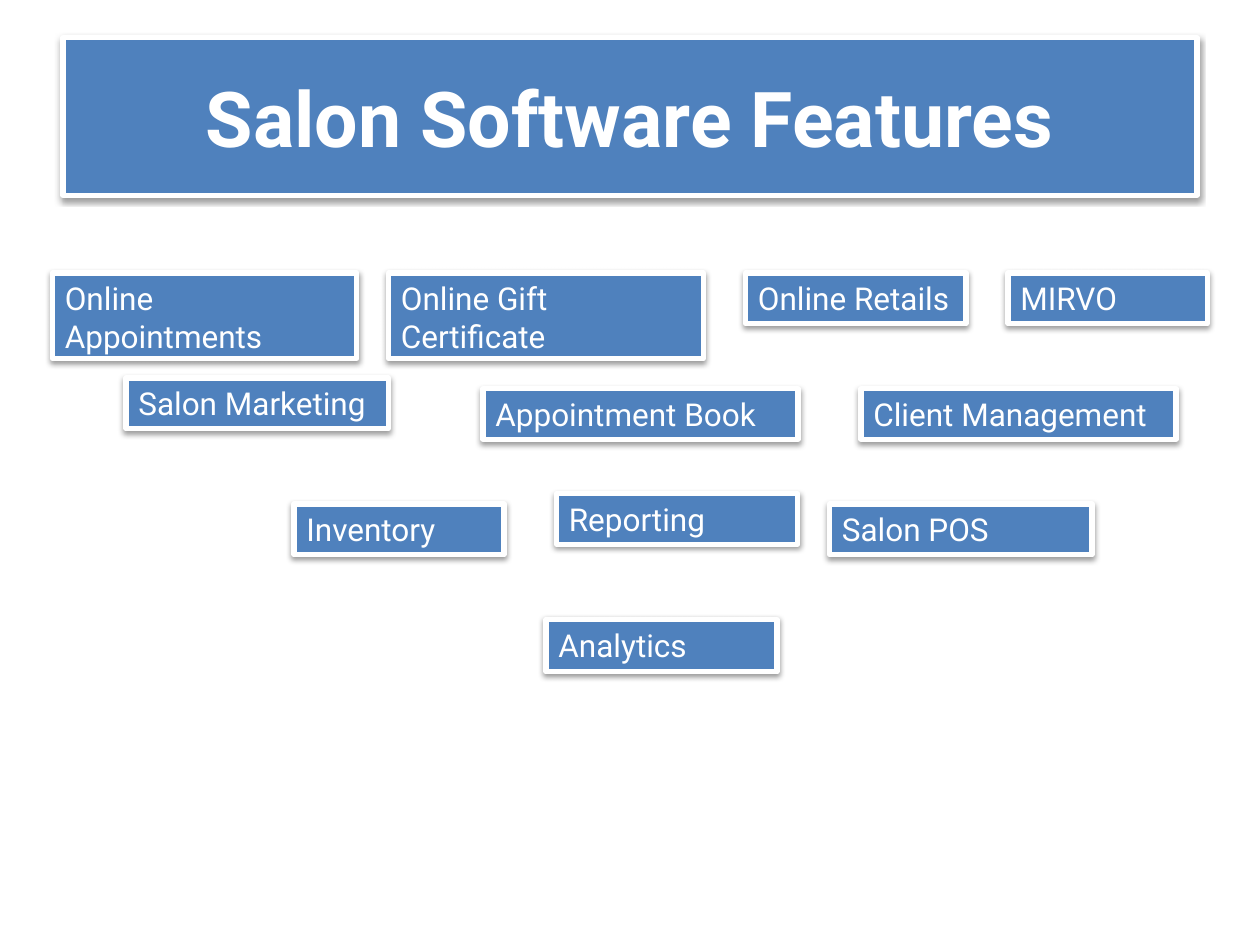
from lxml.etree import SubElement
from pptx import Presentation
from pptx.dml.color import RGBColor
from pptx.enum.text import MSO_ANCHOR, MSO_AUTO_SIZE, PP_ALIGN
from pptx.oxml.ns import qn
from pptx.util import Pt

COLORS = {"panel": "4F81BD", "light": "FFFFFF", "shadow": "000000"}
TITLE_FONT = {"name": "Roboto", "size": Pt(44), "bold": True}
LABEL_FONT = {"name": "Roboto", "size": Pt(18), "bold": False}
TITLE_FRAME = {"word_wrap": True, "auto_size": MSO_AUTO_SIZE.NONE,
               "vertical_anchor": MSO_ANCHOR.MIDDLE}
LABEL_FRAME = {"word_wrap": True, "auto_size": MSO_AUTO_SIZE.SHAPE_TO_FIT_TEXT,
               "vertical_anchor": MSO_ANCHOR.TOP}


def style_panel(shape, box, text, font_format, frame_format, alignment):
    shape.left, shape.top, shape.width, shape.height = [Pt(length) for length in box]
    shape.fill.solid()
    shape.fill.fore_color.rgb = RGBColor.from_string(COLORS["panel"])
    shape.line.color.rgb = RGBColor.from_string(COLORS["light"])
    shape.line.width = Pt(3)
    shape.shadow.inherit = False
    effects = shape.element.spPr.find(qn("a:effectLst"))
    shadow = SubElement(effects, qn("a:outerShdw"), blurRad=str(Pt(3.15)),
                        dist=str(Pt(1.57)), dir="5400000", rotWithShape="0")
    color = SubElement(shadow, qn("a:srgbClr"), val=COLORS["shadow"])
    SubElement(color, qn("a:alpha"), val="38000")
    frame = shape.text_frame
    for name, value in frame_format.items():
        setattr(frame, name, value)
    paragraph = frame.paragraphs[0]
    paragraph.alignment = alignment
    run = paragraph.add_run()
    run.text = text
    for name, value in font_format.items():
        setattr(run.font, name, value)
    run.font.color.rgb = RGBColor.from_string(COLORS["light"])


presentation = Presentation()
presentation.slide_width = Pt(720)
presentation.slide_height = Pt(540)
slide = presentation.slides.add_slide(presentation.slide_layouts[5])

style_panel(slide.shapes.title, (36, 21.6, 648, 90), "Salon Software Features",
            TITLE_FONT, TITLE_FRAME, PP_ALIGN.CENTER)

features = [
    ("Online Appointments", 30, 156, 174, 49),
    ("Salon Marketing", 72, 216, 150, 29),
    ("Salon POS", 474, 288, 150, 29),
    ("Reporting", 318, 282, 138, 29),
    ("Analytics", 312, 354, 132, 30),
    ("Online Gift Certificate", 222, 156, 180, 49),
    ("Online Retails", 426, 156, 126, 29),
    ("Appointment Book", 276, 222, 180, 29),
    ("Client Management", 492, 222, 180, 29),
    ("Inventory", 168, 288, 120, 29),
    ("MIRVO", 576, 156, 114, 29),
]
for text, *box in features:
    label = slide.shapes.add_textbox(0, 0, 0, 0)
    style_panel(label, box, text, LABEL_FONT, LABEL_FRAME, PP_ALIGN.LEFT)

presentation.save("out.pptx")
